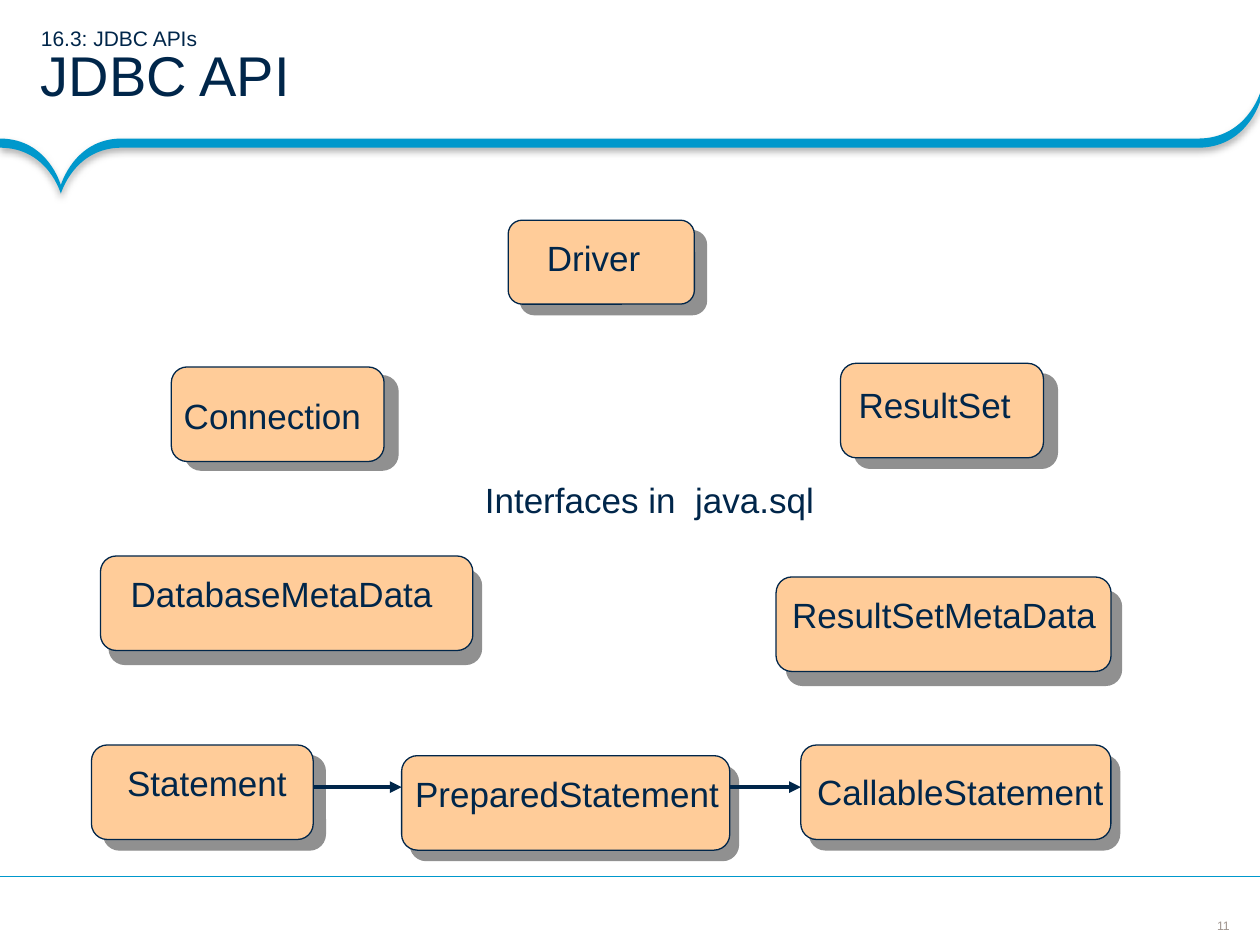
from dataclasses import dataclass
from itertools import chain

from lxml import etree
from pptx import Presentation
from pptx.dml.color import RGBColor
from pptx.enum.shapes import MSO_CONNECTOR, MSO_SHAPE
from pptx.enum.text import MSO_ANCHOR, PP_ALIGN
from pptx.oxml.ns import qn
from pptx.util import Pt

ROUNDED = MSO_SHAPE.FLOWCHART_ALTERNATE_PROCESS
STRAIGHT = MSO_CONNECTOR.STRAIGHT
MIDDLE, TOP = MSO_ANCHOR.MIDDLE, MSO_ANCHOR.TOP
LEFT, CENTER = PP_ALIGN.LEFT, PP_ALIGN.CENTER
NAVY, BLUE, PEACH, GREY, BLACK = "00264A", "0098CC", "FFCC99", "909090", "000000"


@dataclass
class Shadow:
    distance: float
    angle: int
    blur: float = 0
    color: str = GREY
    opacity: int = 100


@dataclass
class Label:
    text: str
    left: float
    top: float
    width: float
    align: PP_ALIGN = LEFT
    height: float = 31


@dataclass
class Interface:
    left: float
    top: float
    width: float
    height: float
    shadow: Shadow
    label: Label


@dataclass
class Rule:
    start: tuple
    end: tuple
    color: str
    weight: float
    arrow: bool = False


INTERFACES = [
    Interface(52.3, 425.7, 126.7, 54, Shadow(9.2, 41),
              Label("Statement", 57.4, 431.6, 121.7, CENTER)),
    Interface(97.9, 209.7, 121.6, 54, Shadow(9.4, 32),
              Label("Connection", 97.9, 222, 121.7)),
    Interface(457.6, 425.7, 177.2, 54, Shadow(7.8, 50),
              Label("CallableStatement", 457.6, 436.7, 182.5, CENTER)),
    Interface(57.4, 317.7, 212.8, 54, Shadow(9.4, 58),
              Label("DatabaseMetaData", 67.6, 323.6, 202.4)),
    Interface(443.5, 329.7, 191.4, 54, Shadow(10, 53),
              Label("ResultSetMetaData", 445.6, 335.6, 190)),
    Interface(229.5, 431.8, 187.5, 54, Shadow(7.8, 50),
              Label("PreparedStatement", 225.4, 438, 197.3, CENTER)),
    Interface(290.4, 125.8, 106.4, 48, Shadow(9.2, 41),
              Label("Driver", 305.4, 131.6, 81.4)),
    Interface(480.3, 207.6, 116, 54, Shadow(10, 37),
              Label("ResultSet", 483.6, 215.6, 116)),
]
CAPTION = Label("Interfaces in  java.sql", 270, 270, 223.2)
RULES = [
    Rule((720, 501), (0, 501), BLUE, 0.75),
    Rule((179, 449.8), (229.5, 449.8), NAVY, 2.25, True),
    Rule((417, 449.8), (457.6, 449.8), NAVY, 2.25, True),
]
BAND_START = (684.7, 79.2)
BAND_CURVES = [
    [(69.5, 79.2)] * 3,
    [(42.5, 79.2), (34.8, 105.8), (34.8, 105.8)],
    [(34.8, 105.8), (27.4, 79.2), (0, 79.2)],
    [(0, 84.4)] * 3,
    [(27.4, 84.4), (34.8, 110.7), (34.8, 110.7)],
    [(34.8, 110.7), (42.5, 84.4), (69.5, 84.4)],
    [(684.7, 84.4)] * 3,
    [(712.1, 84.4), (720, 58.3), (720, 58.3)],
    [(720, 53.3)] * 3,
    [(720, 53.3), (712.1, 79.2), (684.7, 79.2)],
]


def rgb(color: str) -> RGBColor:
    return RGBColor.from_string(color)


def set_shadow(shape, shadow: Shadow) -> None:
    shape.shadow.inherit = False
    effects = shape._element.spPr.find(qn("a:effectLst"))
    outer = etree.SubElement(
        effects, qn("a:outerShdw"), blurRad=str(Pt(shadow.blur)),
        dist=str(Pt(shadow.distance)), dir=str(shadow.angle * 60000),
        algn="ctr", rotWithShape="0")
    tint = etree.SubElement(outer, qn("a:srgbClr"), val=shadow.color)
    etree.SubElement(tint, qn("a:alpha"), val=str(shadow.opacity * 1000))


def fill_shape(shape, color: str) -> None:
    shape.fill.solid()
    shape.fill.fore_color.rgb = rgb(color)


def style_font(font, size: float, color: str) -> None:
    font.name = "Arial"
    font.size = Pt(size)
    font.color.rgb = rgb(color)


def add_text_box(page, label: Label, size: float = 20, color: str = NAVY,
                 anchor: MSO_ANCHOR = TOP, margins: tuple = (7.2, 3.6, 7.2, 3.6)):
    box = page.shapes.add_textbox(
        Pt(label.left), Pt(label.top), Pt(label.width), Pt(label.height))
    frame = box.text_frame
    frame.word_wrap = True
    frame.vertical_anchor = anchor
    (frame.margin_left, frame.margin_top,
     frame.margin_right, frame.margin_bottom) = map(Pt, margins)
    para = frame.paragraphs[0]
    para.alignment = label.align
    span = para.add_run()
    span.text = label.text
    style_font(span.font, size, color)
    return para


def add_title(page) -> None:
    label = Label("16.3: JDBC APIs ", 0, 0, 720, height=78.6)
    para = add_text_box(page, label, 12, NAVY, MIDDLE, (23.4, 3, 13, 3.6))
    para.line_spacing = 0.85
    para.add_line_break()
    span = para.add_run()
    span.text = "JDBC API"
    style_font(span.font, 32, NAVY)


def bend_segments(outline) -> None:
    segments = list(outline._element.iter(qn("a:lnTo")))
    for first, second, third in zip(*[iter(segments)] * 3):
        curve = etree.Element(qn("a:cubicBezTo"))
        first.addprevious(curve)
        for segment in (first, second, third):
            curve.append(segment[0])
            segment.getparent().remove(segment)


def add_band(page) -> None:
    builder = page.shapes.build_freeform(*map(Pt, BAND_START))
    points = [(Pt(x), Pt(y)) for x, y in chain.from_iterable(BAND_CURVES)]
    builder.add_line_segments(points, close=True)
    band = builder.convert_to_shape()
    bend_segments(band)
    fill_shape(band, BLUE)
    band.line.fill.background()
    set_shadow(band, Shadow(2, 90, 4, BLACK, 31))


def add_rule(page, rule: Rule) -> None:
    connector = page.shapes.add_connector(
        STRAIGHT, *map(Pt, rule.start), *map(Pt, rule.end))
    connector.line.color.rgb = rgb(rule.color)
    connector.line.width = Pt(rule.weight)
    if rule.arrow:
        etree.SubElement(connector.line._get_or_add_ln(), qn("a:tailEnd"), type="triangle")
    etree.SubElement(connector._element.spPr, qn("a:effectLst"))


def add_interface(page, item: Interface) -> None:
    shape = page.shapes.add_shape(
        ROUNDED, Pt(item.left), Pt(item.top), Pt(item.width), Pt(item.height))
    fill_shape(shape, PEACH)
    shape.line.color.rgb = rgb(NAVY)
    shape.line.width = Pt(0.75)
    set_shadow(shape, item.shadow)
    add_text_box(page, item.label)


def main() -> None:
    deck = Presentation()
    deck.slide_width, deck.slide_height = Pt(720), Pt(540)
    page = deck.slides.add_slide(deck.slide_layouts[6])
    number = Label("11", 694.8, 524.5, 8.6, CENTER, 8.6)
    add_text_box(page, number, 7, "9F958F", MIDDLE, (0, 0, 0, 0))
    add_band(page)
    add_title(page)
    for item in INTERFACES:
        add_interface(page, item)
    for rule in RULES:
        add_rule(page, rule)
    add_text_box(page, CAPTION)
    deck.save("out.pptx")


if __name__ == "__main__":
    main()
